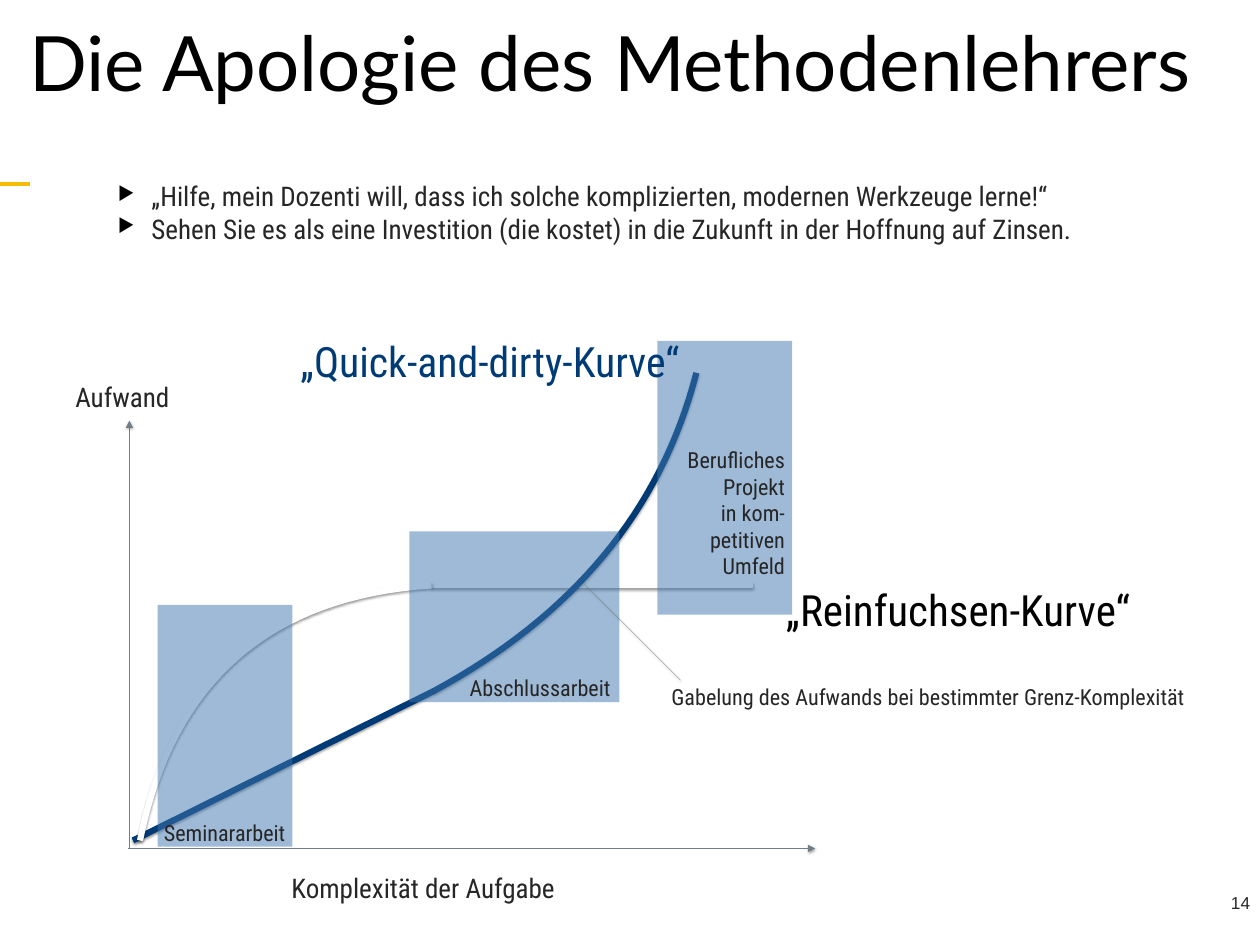
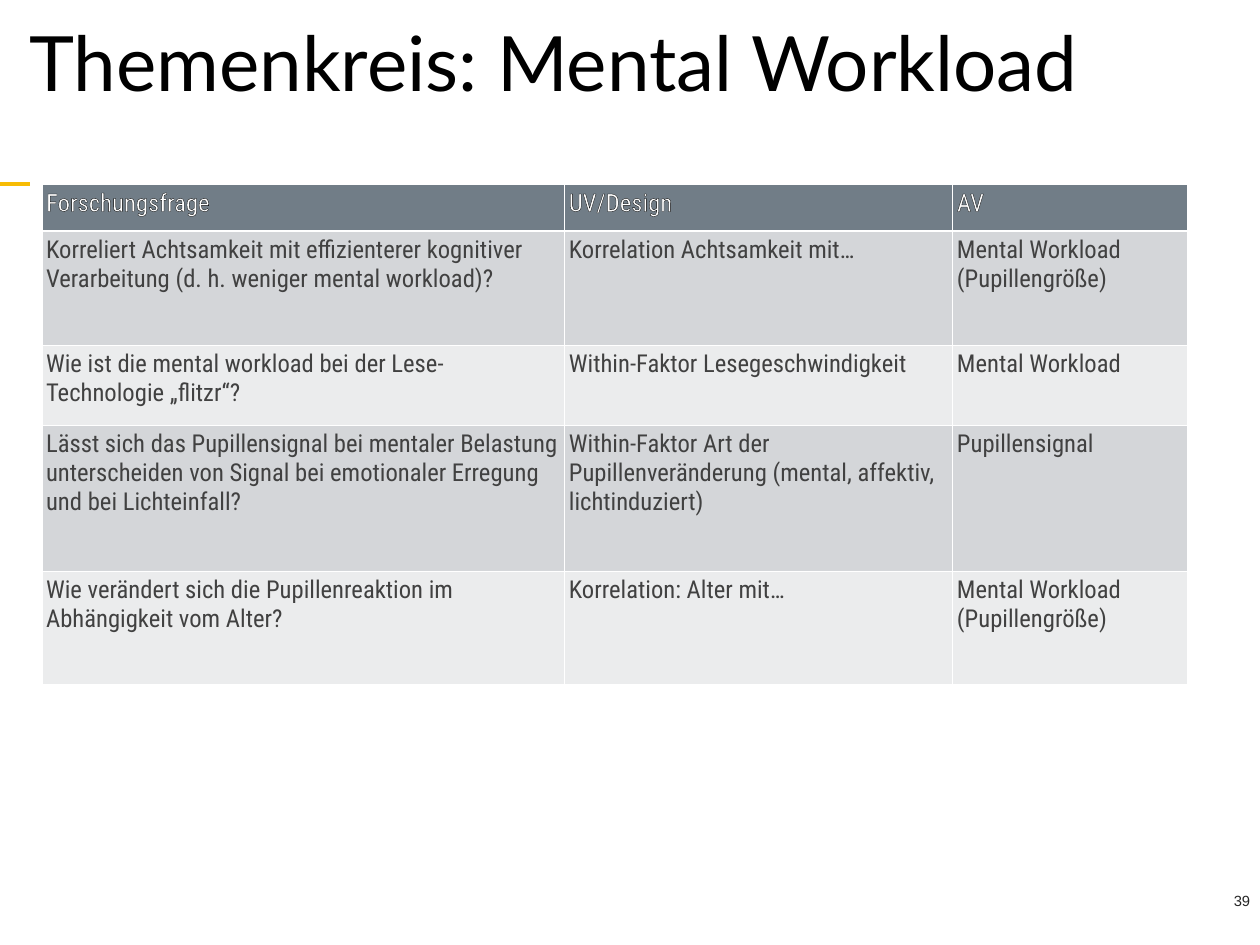
"""Builds two method-course slides: an effort curve and a table of research questions."""
from lxml.etree import SubElement
from pptx import Presentation
from pptx.dml.color import RGBColor
from pptx.enum.shapes import MSO_CONNECTOR as CONNECTOR, MSO_SHAPE as SHAPE
from pptx.enum.text import MSO_ANCHOR as ANCHOR, MSO_AUTO_SIZE as AUTO_SIZE, PP_ALIGN as ALIGN
from pptx.oxml.ns import qn
from pptx.util import Inches, Pt

COLORS = {
    "black": "000000", "white": "FFFFFF", "text": "262626", "cell": "414141",
    "gold": "F7BC05", "grey": "717D87", "navy": "003B76", "blue": "4077AF",
    "band_dark": "D4D6D9", "band_light": "EBECED",
}
RGB = {name: RGBColor.from_string(value) for name, value in COLORS.items()}
BODY_FONT = "Roboto Condensed"


def add_text(slide, box, text, size, color="text", font=BODY_FONT, align=ALIGN.CENTER,
             wrap=False, inset=0.07):
    frame = slide.shapes.add_textbox(*map(Inches, box)).text_frame
    frame.text = text
    frame.word_wrap = wrap
    frame.auto_size = AUTO_SIZE.NONE
    frame.margin_left = frame.margin_right = Inches(inset)
    frame.margin_top = frame.margin_bottom = Inches(inset)
    for paragraph in frame.paragraphs:
        paragraph.alignment = align
        for run in paragraph.runs:
            run.font.size = Pt(size)
            run.font.name = font
            run.font.color.rgb = RGB[color]
    return frame


def stroke(shape, color, width, shadow=True, arrow=False):
    shape.line.color.rgb = RGB[color]
    shape.line.width = Pt(width)
    properties = shape._element.spPr
    if arrow:
        SubElement(properties.find(qn("a:ln")), qn("a:tailEnd"), type="triangle")
    effects = SubElement(properties, qn("a:effectLst"))
    if shadow:
        outer = SubElement(effects, qn("a:outerShdw"), blurRad=str(Pt(2)), dist=str(Pt(1)),
                           dir="5400000", rotWithShape="0")
        shade = SubElement(outer, qn("a:srgbClr"), val=COLORS["black"])
        SubElement(shade, qn("a:alpha"), val="38000")


prs = Presentation()
prs.slide_width, prs.slide_height = Inches(14.22), Inches(10.67)

slides = []
for title, number, number_size in [("Die Apologie des Methodenlehrers", "14", 14),
                                   ("Themenkreis: Mental Workload", "39", 12)]:
    slide = prs.slides.add_slide(prs.slide_layouts[6])
    accent = slide.shapes.add_connector(CONNECTOR.STRAIGHT, 0, Inches(2.08), Inches(0.34), Inches(2.08))
    stroke(accent, "gold", 3, shadow=False)
    add_text(slide, (11.81, 10, 2.37, 0.36), number, number_size, font="Arial",
             align=ALIGN.RIGHT, wrap=True)
    heading = add_text(slide, (0, -0.02, 14.23, 1.55), title, 62, "black", "Lato",
                       ALIGN.LEFT, wrap=True, inset=0.05)
    heading.vertical_anchor = ANCHOR.MIDDLE
    heading.paragraphs[0].line_spacing = 0.9
    indents = heading.paragraphs[0]._p.get_or_add_pPr()
    indents.set("marL", str(Inches(0.14)))
    indents.set("indent", str(Inches(0.14)))
    slides.append(slide)

curve_slide, table_slide = slides

for ends, color, width, arrow in [
    ((1.46, 9.57, 1.46, 4.75), "grey", 0.25, True),
    ((1.45, 9.58, 9.2, 9.58), "grey", 0.25, True),
    ((1.5, 9.49, 4.9, 7.8), "navy", 5, False),
    ((4.88, 6.61, 8.5, 6.61), "white", 5, False),
]:
    segment = curve_slide.shapes.add_connector(CONNECTOR.STRAIGHT, *map(Inches, ends))
    stroke(segment, color, width, arrow=arrow)

STEPS = 32
for controls, color in [
    (((4.9, 7.8), (6.47, 6.95), (7.46, 5.76), (7.86, 4.21)), "navy"),
    (((1.58, 9.49), (1.94, 7.69), (3.04, 6.73), (4.87, 6.61)), "white"),
]:
    points = []
    for step in range(STEPS + 1):
        t = step / STEPS
        weights = ((1 - t) ** 3, 3 * t * (1 - t) ** 2, 3 * t ** 2 * (1 - t), t ** 3)
        points.append([Inches(sum(w * c for w, c in zip(weights, axis))) for axis in zip(*controls)])
    outline = curve_slide.shapes.build_freeform(*points[0])
    outline.add_line_segments(points[1:], close=False)
    curve = outline.convert_to_shape()
    curve.fill.background()
    stroke(curve, color, 5)

for box in [(1.78, 6.83, 1.52, 2.73), (4.62, 6, 2.37, 1.93), (7.42, 3.85, 1.52, 3.09)]:
    task_zone = curve_slide.shapes.add_shape(SHAPE.RECTANGLE, *map(Inches, box))
    task_zone.shadow.inherit = False
    task_zone.line.fill.background()
    task_zone.fill.solid()
    task_zone.fill.fore_color.rgb = RGB["blue"]
    tint = task_zone._element.spPr.find(qn("a:solidFill"))[0]
    SubElement(tint, qn("a:alpha"), val="50000")

fork_pointer = curve_slide.shapes.add_connector(
    CONNECTOR.STRAIGHT, *map(Inches, (7.68, 7.68, 6.59, 6.59)))
stroke(fork_pointer, "grey", 0.25)

for box, label, size, color in [
    ((0.77, 4.23, 1.22, 0.49), "Aufwand", 22, "text"),
    ((3.21, 9.77, 3.13, 0.49), "Komplexität der Aufgabe", 22, "text"),
    ((1.77, 9.18, 1.53, 0.43), "Seminararbeit", 18, "text"),
    ((5.22, 7.54, 1.75, 0.43), "Abschlussarbeit", 18, "text"),
    ((7.5, 7.65, 5.95, 0.43), "Gabelung des Aufwands bei bestimmter Grenz-Komplexität", 18, "text"),
    ((3.15, 3.72, 4.76, 0.7), "„Quick-and-dirty-Kurve“", 34, "navy"),
    ((8.75, 6.52, 4.13, 0.71), "„Reinfuchsen-Kurve“", 35, "black"),
]:
    add_text(curve_slide, box, label, size, color)

add_text(curve_slide, (7.63, 4.97, 1.3, 1.6), "Berufliches Projekt\vin kom-petitiven Umfeld", 18,
         align=ALIGN.RIGHT, wrap=True)

advice = add_text(
    curve_slide, (1.26, 1.96, 10.93, 0.84),
    "„Hilfe, mein Dozenti will, dass ich solche komplizierten, modernen Werkzeuge lerne!“\n"
    "Sehen Sie es als eine Investition (die kostet) in die Zukunft in der Hoffnung auf Zinsen.",
    22, align=ALIGN.LEFT)
for paragraph in advice.paragraphs:
    bullet = paragraph._p.get_or_add_pPr()
    bullet.set("marL", str(Inches(0.38)))
    bullet.set("indent", str(-Inches(0.38)))
    SubElement(SubElement(bullet, qn("a:buClr")), qn("a:srgbClr"), val=COLORS["black"])
    SubElement(bullet, qn("a:buSzPct"), val="70000")
    SubElement(bullet, qn("a:buChar"), char="▶︎")

STUDIES = [
    ("Forschungsfrage", "UV/Design", "AV"),
    ("Korreliert Achtsamkeit mit effizienterer kognitiver Verarbeitung (d. h. weniger mental workload)?",
     "Korrelation Achtsamkeit mit…", "Mental Workload (Pupillengröße)"),
    ("Wie ist die mental workload bei der Lese-Technologie „flitzr“?",
     "Within-Faktor Lesegeschwindigkeit", "Mental Workload"),
    ("Lässt sich das Pupillensignal bei mentaler Belastung unterscheiden von Signal bei "
     "emotionaler Erregung und bei Lichteinfall?",
     "Within-Faktor Art der Pupillenveränderung (mental, affektiv, lichtinduziert)", "Pupillensignal"),
    ("Wie verändert sich die Pupillenreaktion im Abhängigkeit vom Alter?",
     "Korrelation: Alter mit…", "Mental Workload (Pupillengröße)"),
]
studies = table_slide.shapes.add_table(
    len(STUDIES), 3, *map(Inches, (0.47, 2.08, 12.93, 5.66))).table
studies.first_row = studies.horz_banding = False
for column, width in zip(studies.columns, (5.9, 4.38, 2.65)):
    column.width = Inches(width)
for row, height in zip(studies.rows, (0.53, 1.29, 0.9, 1.65, 1.28)):
    row.height = Inches(height)

for r, entries in enumerate(STUDIES):
    for c, entry in enumerate(entries):
        cell = studies.cell(r, c)
        cell.text = entry
        cell.margin_left = cell.margin_right = Inches(0.05)
        cell.margin_top = cell.margin_bottom = Inches(0.05)
        cell.fill.solid()
        cell.fill.fore_color.rgb = RGB["grey" if r == 0 else "band_dark" if r % 2 else "band_light"]
        run = cell.text_frame.paragraphs[0].runs[0]
        run.font.size = Pt(20)
        run.font.name = BODY_FONT
        run.font.bold = False
        run.font.color.rgb = RGB["cell" if r else "white"]
        if r == 0:
            run_properties = run._r.get_or_add_rPr()
            contour = SubElement(run_properties, qn("a:ln"), w="0")
            SubElement(SubElement(contour, qn("a:solidFill")), qn("a:srgbClr"), val=COLORS["black"])
            run_properties.insert(0, contour)
        cell_properties = cell._tc.get_or_add_tcPr()
        for position, side in enumerate("LRTB"):
            under_header = (r, side) in [(0, "B"), (1, "T")]
            border = SubElement(cell_properties, qn(f"a:ln{side}"), w=str(Pt(2 if under_header else 0.25)))
            SubElement(SubElement(border, qn("a:solidFill")), qn("a:srgbClr"), val=COLORS["white"])
            cell_properties.insert(position, border)

prs.save("out.pptx")
